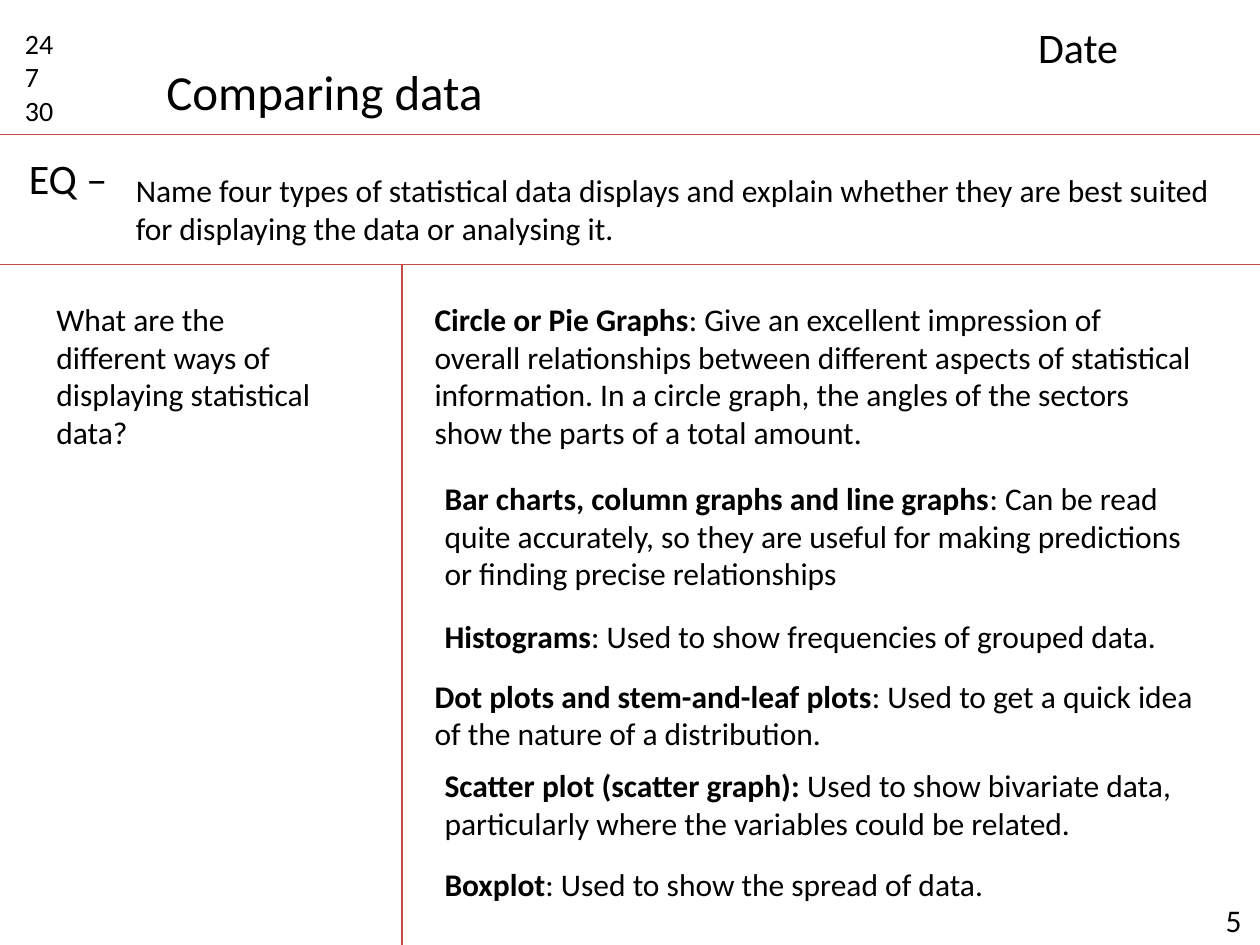
from pptx import Presentation
from pptx.dml.color import RGBColor
from pptx.enum.shapes import MSO_CONNECTOR
from pptx.enum.text import MSO_ANCHOR, MSO_AUTO_SIZE, PP_ALIGN
from pptx.oxml.ns import qn
from pptx.util import Inches, Pt
from lxml.etree import SubElement

THEME = {
    "font": "Calibri",
    "text": RGBColor(0x00, 0x00, 0x00),
    "rule": RGBColor(0xBF, 0x4C, 0x48),
    "rule_width": 0.75,
    "title": 28, "heading": 24, "body": 18, "small": 16,
}
WIDTH, HEIGHT = 10, 7.5
HEADER_Y, QUESTION_Y, MARGIN_X = 1.07, 2.1, 3.19

TITLE = ("Comparing data", (1.22, 0.44, 2.74, 0.57))

# Text lines, box (left, top, width, height), type size
LABELS = [
    (["24", "7", "30"], (0.1, 0.16, 0.63, 0.91), "small"),
    (["Date"], (8.14, 0.12, 1.73, 0.5), "heading"),
    (["EQ –"], (0.13, 1.16, 0.85, 0.5), "heading"),
    (["Name four types of statistical data displays and explain whether "
      "they are best suited for displaying the data or analysing it."],
     (0.98, 1.31, 8.82, 0.71), "body"),
    (["What are the different ways of displaying statistical data?"],
     (0.35, 2.33, 2.44, 1.31), "body"),
    (["5"], (9.63, 7.1, 0.37, 0.4), "body"),
]

# Bold term, explanation, box
DISPLAYS = [
    ("Circle or Pie Graphs",
     ": Give an excellent impression of overall relationships between "
     "different aspects of statistical information. In a circle graph, the "
     "angles of the sectors show the parts of a total amount.",
     (3.35, 2.33, 6.22, 1.31)),
    ("Bar charts, column graphs and line graphs",
     ": Can be read quite accurately, so they are useful for making "
     "predictions or finding precise relationships",
     (3.43, 3.75, 6.06, 1.01)),
    ("Histograms", ": Used to show frequencies of grouped data.",
     (3.43, 4.85, 6.38, 0.4)),
    ("Dot plots and stem-and-leaf plots",
     ": Used to get a quick idea of the nature of a distribution.",
     (3.35, 5.32, 6.38, 0.71)),
    ("Scatter plot (scatter graph): ",
     "Used to show bivariate data, particularly where the variables could "
     "be related.",
     (3.43, 6.03, 6.3, 0.71)),
    ("Boxplot", ": Used to show the spread of data.",
     (3.43, 6.82, 6.3, 0.4)),
]

RULES = [
    (0, HEADER_Y, WIDTH, HEADER_Y),
    (0, QUESTION_Y, WIDTH, QUESTION_Y),
    (MARGIN_X, QUESTION_Y, MARGIN_X, HEIGHT),
]


def fill_text(tf, paragraphs, size, wrap=True):
    """Write paragraphs, each a list of (text, bold) runs."""
    frame_format = {"word_wrap": wrap, "auto_size": MSO_AUTO_SIZE.NONE,
                    "vertical_anchor": MSO_ANCHOR.TOP}
    for name, value in frame_format.items():
        setattr(tf, name, value)
    for i, runs in enumerate(paragraphs):
        p = tf.paragraphs[0] if i == 0 else tf.add_paragraph()
        p.alignment = PP_ALIGN.LEFT
        for text, bold in runs:
            r = p.add_run()
            r.text = text
            font_format = {"name": THEME["font"], "size": Pt(THEME[size]),
                           "bold": bold}
            for name, value in font_format.items():
                setattr(r.font, name, value)
            r.font.color.rgb = THEME["text"]


def add_text(s, paragraphs, box, size):
    sp = s.shapes.add_textbox(*map(Inches, box))
    fill_text(sp.text_frame, paragraphs, size)


def add_rule(s, ends):
    line = s.shapes.add_connector(MSO_CONNECTOR.STRAIGHT, *map(Inches, ends))
    line.line.color.rgb = THEME["rule"]
    line.line.width = Pt(THEME["rule_width"])
    SubElement(line._element.spPr, qn("a:effectLst"))


def add_title(s, text, box):
    sp = s.shapes.title
    for name, value in zip(("left", "top", "width", "height"), box):
        setattr(sp, name, Inches(value))
    fill_text(sp.text_frame, [[(text, False)]], "title", wrap=False)


def main():
    prs = Presentation()
    prs.slide_width, prs.slide_height = Inches(WIDTH), Inches(HEIGHT)
    s = prs.slides.add_slide(prs.slide_layouts.get_by_name("Title Only"))
    add_title(s, *TITLE)
    for ends in RULES:
        add_rule(s, ends)
    for lines, box, size in LABELS:
        add_text(s, [[(line, False)] for line in lines], box, size)
    for term, explanation, box in DISPLAYS:
        add_text(s, [[(term, True), (explanation, False)]], box, "body")
    prs.save("out.pptx")


if __name__ == "__main__":
    main()
